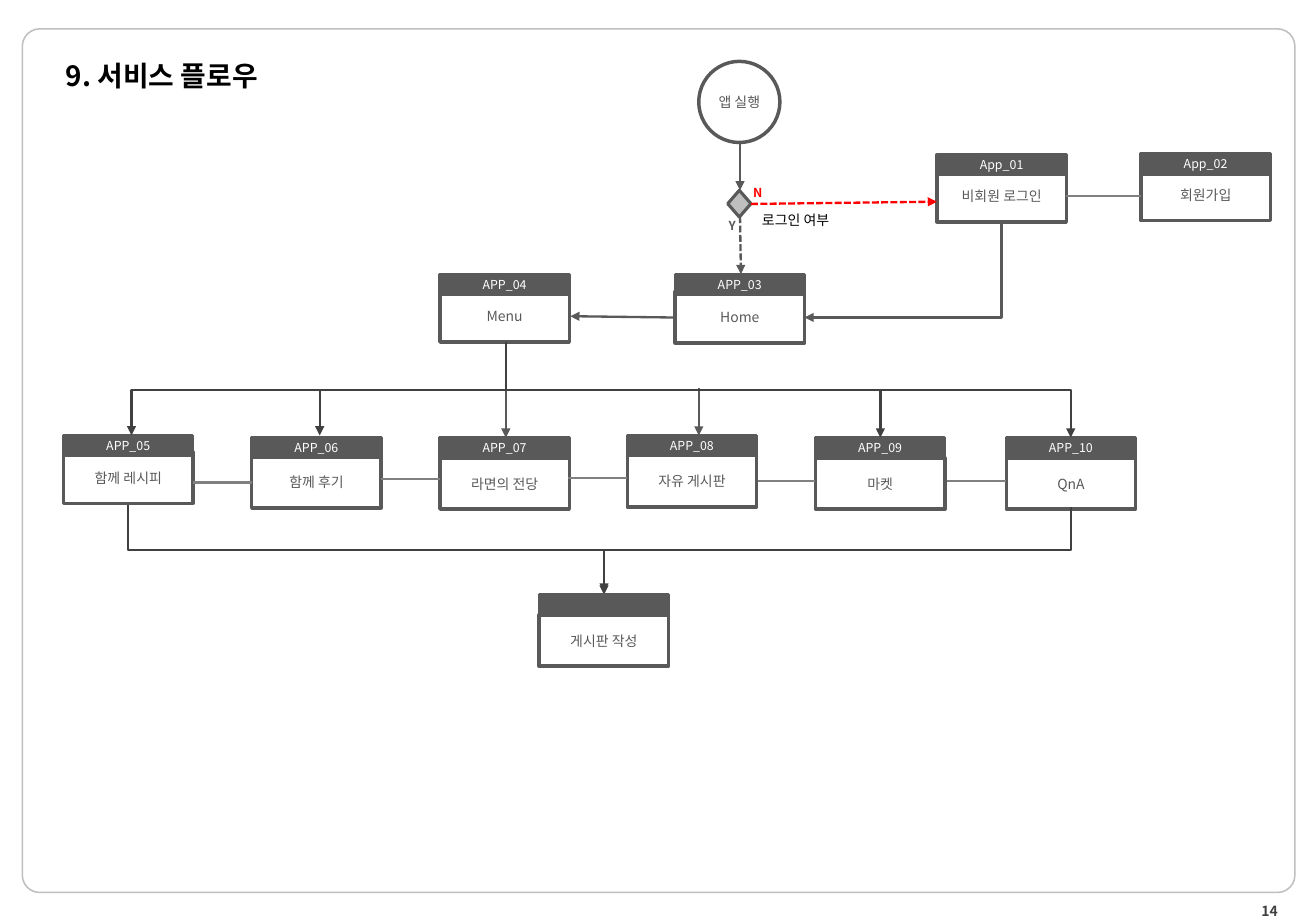
import dataclasses

import lxml.etree
import pptx
import pptx.dml.color
import pptx.enum.dml
import pptx.enum.shapes
import pptx.enum.text
import pptx.oxml.ns
import pptx.util

Cm = pptx.util.Cm
Pt = pptx.util.Pt
qn = pptx.oxml.ns.qn
KIND = pptx.enum.shapes.MSO_SHAPE
LINK = pptx.enum.shapes.MSO_CONNECTOR
ALIGN = pptx.enum.text.PP_ALIGN
MID = pptx.enum.text.MSO_ANCHOR.MIDDLE


@dataclasses.dataclass(frozen=True)
class Theme:
    font: str = "Noto Sans CJK KR"
    black: str = "000000"
    white: str = "FFFFFF"
    dark: str = "404040"
    grey: str = "595959"
    mid: str = "808080"
    pale: str = "BFBFBF"
    red: str = "FF0000"
    head: int = 18
    body: int = 9
    small: int = 8


THEME = Theme()
WIDE, BODY, TAB = 2.95, 1.17, 0.46

# Screens: code, name, left, top of code bar, top of body
CARDS = [
    ("App_01", "비회원 로그인", 21.36, 3.53, 3.89),
    ("App_02", "회원가입", 26.01, 3.51, 3.86),
    ("APP_03", "Home", 15.39, 6.25, 6.65),
    ("APP_04", "Menu", 10.03, 6.25, 6.63),
    ("APP_05", "함께 레시피", 1.45, 9.93, 10.31),
    ("APP_06", "함께 후기", 5.74, 9.98, 10.41),
    ("APP_07", "라면의 전당", 10.03, 9.98, 10.44),
    ("APP_08", "자유 게시판", 14.3, 9.93, 10.39),
    ("APP_09", "마켓", 18.59, 9.98, 10.44),
    ("APP_10", "QnA", 22.94, 9.98, 10.44),
]
BOARD = ("", "게시판 작성", 12.29, 13.56, 14.02)

# Plain links between neighbours: left, right, height
PEERS = [
    (24.31, 26.01, 4.47),
    (4.39, 5.74, 11),
    (8.69, 10.03, 10.92),
    (12.95, 14.3, 10.9),
    (17.27, 18.59, 10.97),
    (21.59, 22.94, 10.97),
]

# Straight arrows: start x, y, end x, y
STEPS = [
    (16.87, 3.25, 16.87, 4.34),
    (15.39, 7.24, 13, 7.21),
    (11.53, 7.8, 11.53, 9.98),
    (15.93, 8.84, 15.93, 9.93),
]

# Bent arrows: points, preset number, whether they leave downwards
BENDS = [
    ((11.53, 7.8, 20.07, 9.98), 3, True),
    ((12.93, 8.89, 7.29, 9.93), 2, False),
    ((7.29, 8.89, 3, 9.93), 2, False),
    ((19.61, 8.89, 24.41, 9.98), 2, False),
    ((2.92, 11.51, 13.77, 13.56), 3, True),
    ((24.41, 11.56, 13.77, 13.51), 3, True),
]


def tint(text):
    return pptx.dml.color.RGBColor.from_string(text)


def write(frame, text, size, color, bold=False, align=ALIGN.LEFT):
    line = frame.paragraphs[0]
    line.alignment = align
    run = line.add_run()
    run.text = text
    font = run.font
    font.size, font.bold, font.name = Pt(size), bold, THEME.font
    font.color.rgb = tint(color)
    east = lxml.etree.SubElement(font._element, qn("a:ea"))
    east.set("typeface", THEME.font)


def shape(slide, kind, box, fill, edge, width):
    item = slide.shapes.add_shape(kind, *map(Cm, box))
    item.shadow.inherit = False
    if fill:
        item.fill.solid()
        item.fill.fore_color.rgb = tint(fill)
    else:
        item.fill.background()
    item.line.color.rgb = tint(edge)
    item.line.width = Pt(width)
    item.text_frame.vertical_anchor = MID
    return item


def label(slide, box, text, size, color, bold=False, align=ALIGN.LEFT):
    frame = slide.shapes.add_textbox(*map(Cm, box)).text_frame
    frame.word_wrap = False
    frame.auto_size = pptx.enum.text.MSO_AUTO_SIZE.SHAPE_TO_FIT_TEXT
    write(frame, text, size, color, bold, align)


def panel(slide, box, inset, text, size, color, align):
    frame = slide.shapes.add_textbox(*map(Cm, box)).text_frame
    frame.word_wrap = True
    frame.vertical_anchor = MID
    frame.margin_left = frame.margin_right = Cm(inset)
    frame.margin_top = frame.margin_bottom = Cm(0.05)
    write(frame, text, size, color, True, align)


def card(slide, code, name, left, top, low):
    body = shape(slide, KIND.RECTANGLE, (left, low, WIDE, BODY),
                 THEME.white, THEME.grey, 2.25)
    write(body.text_frame, name, THEME.body, THEME.grey, align=ALIGN.CENTER)
    bar = shape(slide, KIND.RECTANGLE, (left, top, WIDE, TAB),
                THEME.grey, THEME.grey, 2)
    if code:
        write(bar.text_frame, code, THEME.small, THEME.white,
              align=ALIGN.CENTER)


def link(slide, ends, color, arrow=True, dash=False, kind=LINK.STRAIGHT):
    item = slide.shapes.add_connector(kind, *map(Cm, ends))
    item.line.color.rgb = tint(color)
    item.line.width = Pt(1.5)
    if dash:
        item.line.dash_style = pptx.enum.dml.MSO_LINE.SQUARE_DOT
    props = item.element.spPr
    if arrow:
        tip = lxml.etree.SubElement(props.find(qn("a:ln")), qn("a:tailEnd"))
        tip.set("type", "triangle")
    lxml.etree.SubElement(props, qn("a:effectLst"))
    return item


def elbow(slide, ends, bend, down, color):
    x1, y1, x2, y2 = ends
    if down:
        # Lay the route on its side, then turn it about its centre
        side = 1 if x2 < x1 else -1
        mid_x, mid_y = (x1 + x2) / 2, (y1 + y2) / 2
        half_w, half_h = side * (y2 - y1) / 2, abs(x2 - x1) / 2
        ends = (mid_x - half_w, mid_y - half_h,
                mid_x + half_w, mid_y + half_h)
    item = link(slide, ends, color, kind=LINK.ELBOW)
    props = item.element.spPr
    props.find(qn("a:prstGeom")).set("prst", f"bentConnector{bend}")
    if down:
        turn = 90 if side > 0 else 270
        props.find(qn("a:xfrm")).set("rot", str(turn * 60000))


def main():
    deck = pptx.Presentation()
    deck.slide_width, deck.slide_height = Cm(30), Cm(21)
    slide = deck.slides.add_slide(deck.slide_layouts[6])

    # Page frame, number and title
    frame = shape(slide, KIND.ROUNDED_RECTANGLE, (0.51, 0.66, 29.01, 19.69),
                  None, THEME.pale, 1)
    frame.adjustments[0] = 0.02
    panel(slide, (22.4, 20.55, 7.01, 0.46), 0.28, "14",
          THEME.body, THEME.dark, ALIGN.RIGHT)
    panel(slide, (1.45, 0.51, 26.62, 2.41), 0.05, "9. 서비스 플로우",
          THEME.head, THEME.black, ALIGN.LEFT)

    # Start and screens
    start = shape(slide, KIND.OVAL, (15.93, 1.4, 1.85, 1.85),
                  THEME.white, THEME.grey, 2.25)
    start.text_frame.word_wrap = False
    write(start.text_frame, "앱 실행", THEME.body, THEME.grey,
          align=ALIGN.CENTER)
    for entry in CARDS:
        card(slide, *entry)

    # Login choice
    shape(slide, KIND.FLOWCHART_DECISION, (16.59, 4.34, 0.53, 0.61),
          THEME.pale, THEME.grey, 2)
    link(slide, (17.12, 4.65, 21.36, 4.6), THEME.red, dash=True)
    link(slide, (16.87, 4.93, 16.89, 6.25), THEME.grey, dash=True)
    label(slide, (17.12, 4.7, 2.11, 0.64), "로그인 여부",
          THEME.body, THEME.black)
    label(slide, (16.92, 4.09, 0.64, 0.61), "N", THEME.small, THEME.red,
          True, ALIGN.CENTER)
    label(slide, (16.36, 4.85, 0.64, 0.61), "Y", THEME.small, THEME.grey,
          True, ALIGN.CENTER)

    # Flow lines
    for left, right, high in PEERS:
        link(slide, (left, high, right, high), THEME.mid, arrow=False)
    for ends in STEPS:
        link(slide, ends, THEME.grey)
    elbow(slide, (22.83, 5.05, 18.34, 7.24), 2, True, THEME.grey)
    for ends, bend, down in BENDS:
        elbow(slide, ends, bend, down, THEME.dark)

    # Shared end screen
    card(slide, *BOARD)
    deck.save("out.pptx")


if __name__ == "__main__":
    main()
